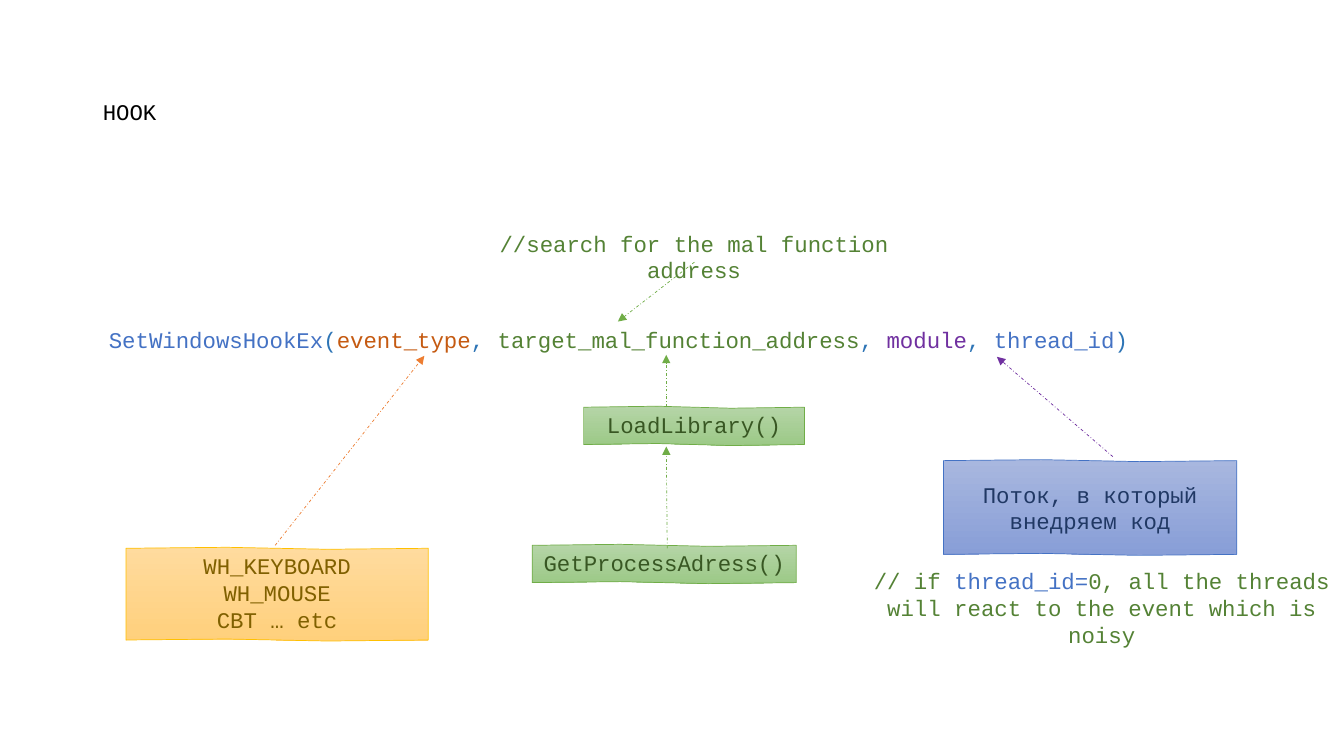
import pptx
import pptx.util
import pptx.dml.color
import pptx.enum.dml
import pptx.enum.shapes
import pptx.enum.text
import lxml.etree

Inches = pptx.util.Inches
ALIGN = pptx.enum.text.PP_ALIGN
ANCHOR = pptx.enum.text.MSO_ANCHOR
AUTO_SIZE = pptx.enum.text.MSO_AUTO_SIZE


def rgb(value):
    return pptx.dml.color.RGBColor.from_string(value)


def write(shape, paragraphs, align=ALIGN.CENTER, anchor=ANCHOR.TOP, spacing=None,
          auto_size=AUTO_SIZE.SHAPE_TO_FIT_TEXT):
    frame = shape.text_frame
    frame.word_wrap = True
    frame.auto_size = auto_size
    frame.vertical_anchor = anchor
    for index, runs in enumerate(paragraphs):
        paragraph = frame.add_paragraph() if index else frame.paragraphs[0]
        paragraph.alignment = align
        paragraph.line_spacing = spacing
        for text, color in runs:
            run = paragraph.add_run()
            run.text = text
            run.font.size = pptx.util.Pt(16)
            run.font.name = "Courier New"
            run.font.color.rgb = rgb(color)


presentation = pptx.Presentation()
presentation.slide_width = Inches(40 / 3)
presentation.slide_height = Inches(7.5)
slide = presentation.slides.add_slide(presentation.slide_layouts[5])

title = slide.shapes.title
title.left, title.top = Inches(0.92), Inches(0.4)
title.width, title.height = Inches(11.5), Inches(1.45)
write(title, [[("HOOK", "000000")]], align=ALIGN.LEFT, anchor=ANCHOR.MIDDLE,
      spacing=0.9, auto_size=AUTO_SIZE.NONE)

BLUE, PUNCTUATION, GREEN = "4472C4", "2E75B6", "548235"
call = slide.shapes.add_shape(
    pptx.enum.shapes.MSO_SHAPE.RECTANGLE,
    Inches(0.41), Inches(3.19), Inches(11.45), Inches(0.37))
call.shadow.inherit = False
call.fill.solid()
call.fill.fore_color.rgb = rgb("FFFFFF")
call.line.fill.background()
write(call, [[
    ("SetWindowsHookEx", BLUE), ("(", PUNCTUATION),
    ("event_type", "C55A11"), (", ", PUNCTUATION),
    ("target_mal_function_address", GREEN), (", ", PUNCTUATION),
    ("module", "7030A0"), (", ", PUNCTUATION),
    ("thread_id", BLUE), (")", PUNCTUATION),
]])

green_style = ("B5D5A7", "9CC987", "70AD47", "385723")
sketched_boxes = [
    (1.25, 5.44, 3, 0.91, ANCHOR.TOP, AUTO_SIZE.SHAPE_TO_FIT_TEXT,
     ["WH_KEYBOARD", "WH_MOUSE", "CBT … etc"],
     ("FFDB9E", "FFD07C", "FFC000", "806000")),
    (5.28, 5.41, 2.62, 0.37, ANCHOR.TOP, AUTO_SIZE.SHAPE_TO_FIT_TEXT,
     ["GetProcessAdress()"], green_style),
    (5.79, 4.04, 2.19, 0.37, ANCHOR.TOP, AUTO_SIZE.SHAPE_TO_FIT_TEXT,
     ["LoadLibrary()"], green_style),
    (9.36, 4.57, 2.91, 0.93, ANCHOR.MIDDLE, AUTO_SIZE.NONE,
     ["Поток, в который внедряем код"],
     ("A8B7DF", "889ED7", "4472C4", "203864")),
]
WOBBLE = 0.01
for left, top, width, height, anchor, auto_size, lines, colors in sketched_boxes:
    light, dark, edge, ink = colors
    right, bottom = left + width, top + height
    outline_points = [
        (left, top), (left + width / 3, top - WOBBLE), (right - width / 3, top + WOBBLE),
        (right, top), (right, bottom), (right - width / 3, bottom + WOBBLE),
        (left + width / 3, bottom - WOBBLE), (left, bottom),
    ]
    points = [(Inches(x), Inches(y)) for x, y in outline_points]
    builder = slide.shapes.build_freeform(*points[0])
    builder.add_line_segments(points[1:], close=True)
    shape = builder.convert_to_shape()
    shape.shadow.inherit = False
    shape.fill.gradient()
    shape.fill.gradient_angle = 270
    for stop, color in zip(shape.fill.gradient_stops, (light, dark)):
        stop.color.rgb = rgb(color)
    shape.line.color.rgb = rgb(edge)
    shape.line.width = pptx.util.Pt(0.5)
    write(shape, [[(line, ink)] for line in lines], anchor=anchor, auto_size=auto_size)

search_note = [("//search for the mal function address", GREEN)]
thread_note = [
    ("// if ", GREEN), ("thread_id=", BLUE),
    ("0, all the threads will react to the event which is noisy", GREEN),
]
for left, top, width, height, runs in [
    (4.66, 2.23, 4.45, 0.37, search_note),
    (8.37, 5.58, 5.12, 0.64, thread_note),
]:
    note = slide.shapes.add_textbox(Inches(left), Inches(top), Inches(width), Inches(height))
    write(note, [runs])

for start_x, start_y, end_x, end_y, color in [
    (2.73, 5.41, 4.21, 3.53, "ED7D31"),
    (6.61, 4.04, 6.61, 3.52, "70AD47"),
    (6.62, 5.44, 6.61, 4.43, "70AD47"),
    (11.04, 4.53, 9.89, 3.54, "7030A0"),
    (6.89, 2.6, 6.13, 3.19, "70AD47"),
]:
    arrow = slide.shapes.add_connector(
        pptx.enum.shapes.MSO_CONNECTOR.STRAIGHT,
        Inches(start_x), Inches(start_y), Inches(end_x), Inches(end_y))
    arrow.line.color.rgb = rgb(color)
    arrow.line.width = pptx.util.Pt(0.5)
    arrow.line.dash_style = pptx.enum.dml.MSO_LINE.DASH_DOT
    properties = arrow._element.spPr
    namespace = "{http://schemas.openxmlformats.org/drawingml/2006/main}"
    outline = properties.find(namespace + "ln")
    lxml.etree.SubElement(outline, namespace + "tailEnd", type="triangle")
    lxml.etree.SubElement(properties, namespace + "effectLst")

presentation.save("out.pptx")
